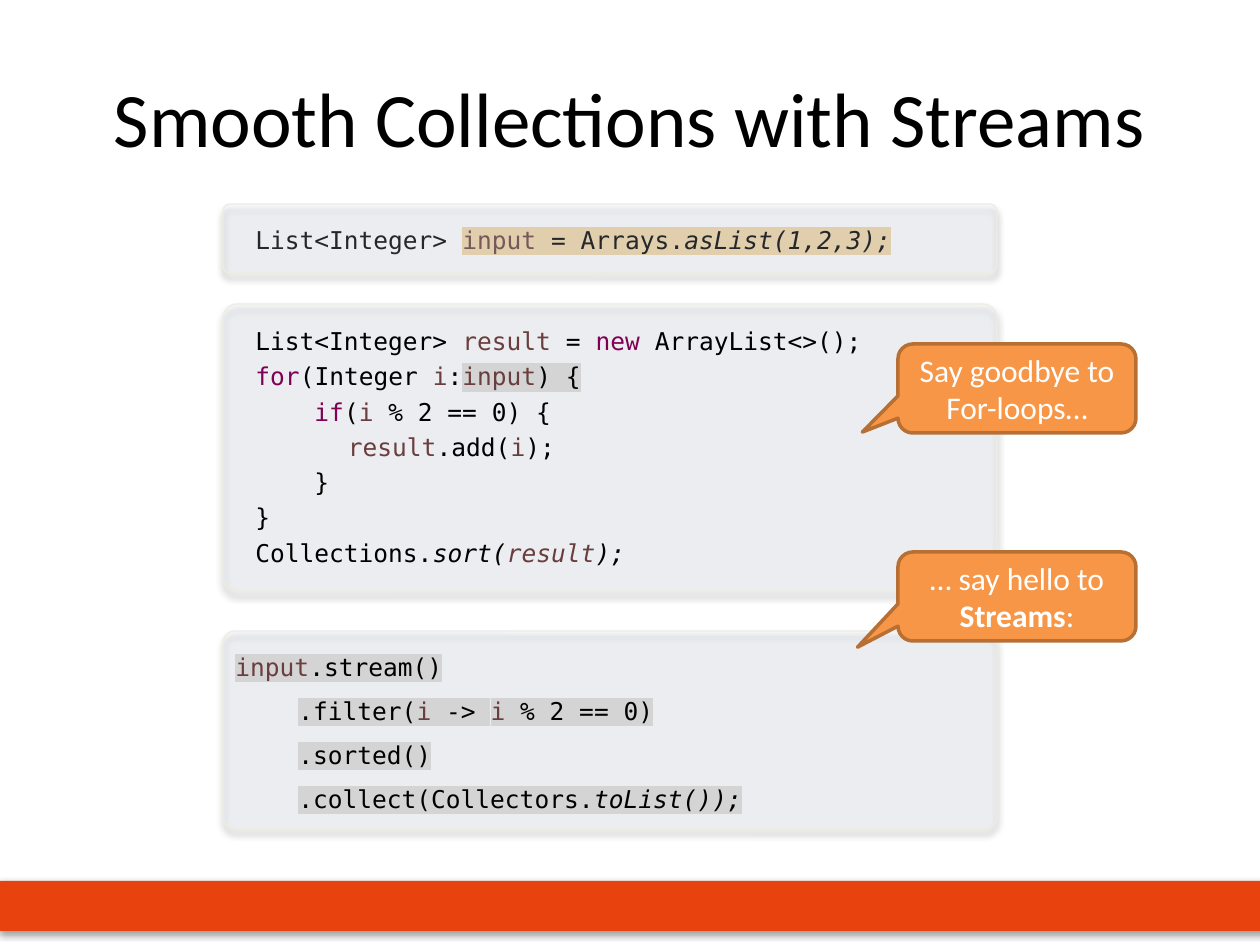
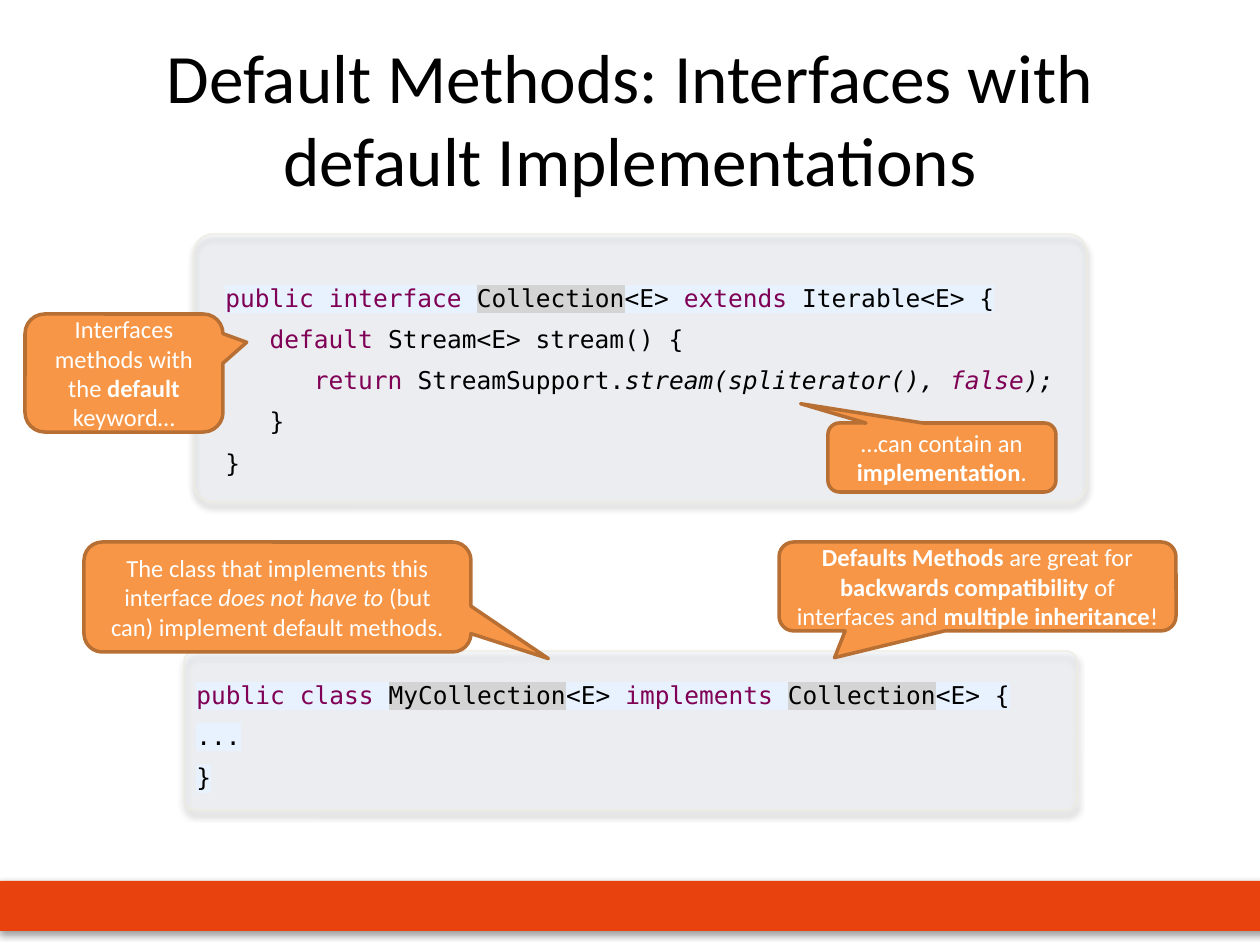
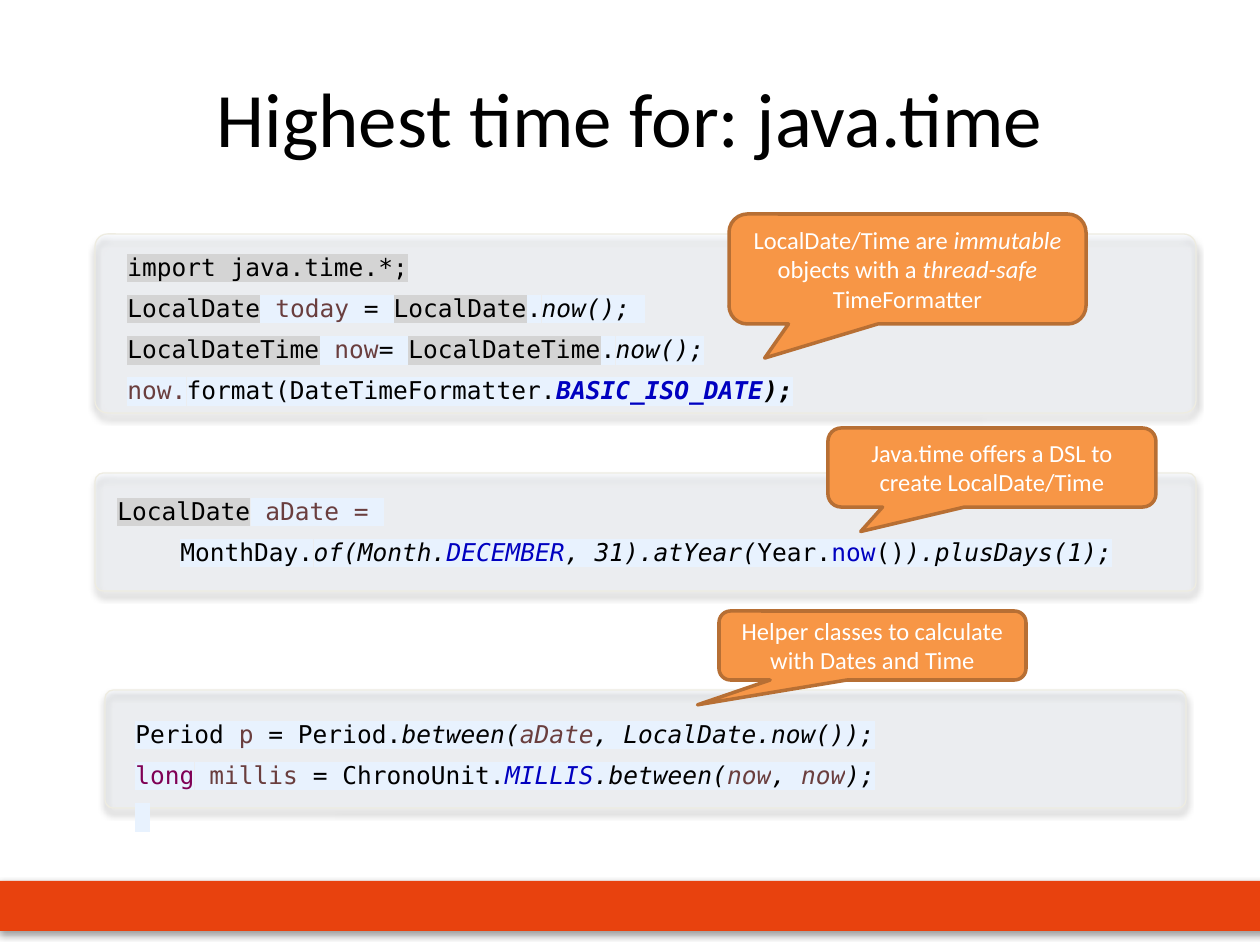
from lxml import etree
from pptx import Presentation
from pptx.dml.color import RGBColor
from pptx.enum.shapes import MSO_SHAPE
from pptx.enum.text import MSO_ANCHOR, MSO_AUTO_SIZE, PP_ALIGN
from pptx.oxml.ns import qn
from pptx.util import Emu, Pt

RECT = MSO_SHAPE.RECTANGLE
ROUNDED = MSO_SHAPE.ROUNDED_RECTANGLE
CALLOUT = MSO_SHAPE.ROUNDED_RECTANGULAR_CALLOUT
LEFT, CENTER = PP_ALIGN.LEFT, PP_ALIGN.CENTER
MIDDLE = MSO_ANCHOR.MIDDLE
NO_FIT = MSO_AUTO_SIZE.NONE

PX = 914400 / 126
SANS, MONO = "Calibri", "DejaVu Sans Mono"
COLORS = {
    "band": "E8420E", "panel": "E2ECFB", "panel_line": "EEECE1",
    "callout": "F79646", "callout_line": "B76F34",
    "black": "000000", "white": "FFFFFF",
}
INKS = {"k": "7F0055", "v": "6A3E3E", "s": "0000C0"}
MARKS = {"g": "D4D4D4", "l": "E8F2FE", "t": "F0D8A8"}


def write(tf, paragraphs, font, size, color, align, spacing=1.0):
    tf.word_wrap = True
    for i, runs in enumerate(paragraphs):
        p = tf.paragraphs[0] if i == 0 else tf.add_paragraph()
        p.alignment = align
        p.line_spacing = spacing
        p.font.name = font
        p.font.size = Pt(size)
        p.font.color.rgb = RGBColor.from_string(COLORS[color])
        for style, text in runs:
            r = p.add_run()
            r.text = text
            if "b" in style:
                r.font.bold = True
            if "i" in style:
                r.font.italic = True
            for key in style:
                if key in INKS:
                    r.font.color.rgb = RGBColor.from_string(INKS[key])
            for key in style:
                if key in MARKS:
                    mark = etree.SubElement(r.font._element, qn("a:highlight"))
                    etree.SubElement(mark, qn("a:srgbClr"), val=MARKS[key])


def draw(shapes, kind, box, fill, line=None, weight=0, shadow_angle=None):
    sp = shapes.add_shape(kind, *[Emu(round(n * PX)) for n in box])
    sp.shadow.inherit = False
    sp.fill.solid()
    sp.fill.fore_color.rgb = RGBColor.from_string(COLORS[fill])
    if line:
        sp.line.color.rgb = RGBColor.from_string(COLORS[line])
        sp.line.width = Pt(weight)
    else:
        sp.line.fill.background()
    if shadow_angle is not None:
        effects = sp._element.spPr.find(qn("a:effectLst"))
        shadow = etree.SubElement(
            effects, qn("a:outerShdw"), blurRad=str(Pt(4)), dist=str(Pt(3)),
            dir=str(shadow_angle * 60000), algn="tl", rotWithShape="0")
        shade = etree.SubElement(shadow, qn("a:srgbClr"), val=COLORS["black"])
        etree.SubElement(shade, qn("a:alpha"), val="40000")
    return sp


SLIDES = [
    ("Smooth Collections with Streams", 44, [
        ("panel", (223, 304, 774, 287), 0.05),
        ("code", (243, 204, 694, 100), 1.5, [
            [("", "List<Integer> "), ("vt", "input"), ("t", " = Arrays."),
             ("it", "asList(1,2,3);")],
        ]),
        ("code", (243, 314, 704, 261), 1.2, [
            [("", "List<Integer> "), ("v", "result"), ("", " = "),
             ("k", "new "), ("", "ArrayList<>();")],
            [("k", "for"), ("", "(Integer "), ("v", "i"), ("", ":"),
             ("vg", "input"), ("g", ") {")],
            [("k", "    if"), ("", "("), ("v", "i"), ("", " % 2 == 0) {")],
            [("v", "\t  result"), ("", ".add("), ("v", "i"), ("", ");")],
            [("", "    }")],
            [("", "}")],
            [("", "Collections."), ("i", "sort("), ("vi", "result"), ("i", ");")],
        ]),
        ("panel", (223, 631, 774, 198), 0.06),
        ("code", (223, 631, 745, 189), 1.5, [
            [("vg", "input"), ("g", ".stream()")],
            [("g", "\t.filter("), ("vg", "i"), ("g", " -> "), ("vg", "i"),
             ("g", " % 2 == 0)")],
            [("g", "\t.sorted()")],
            [("g", "\t.collect(Collectors."), ("ig", "toList());")],
        ]),
        ("panel", (223, 204, 774, 69), 0.1),
        ("callout", (898, 344, 238, 89), (-0.65, 0.49), 18, [
            [("", "Say goodbye to")],
            [("", "For-loops…")],
        ]),
        ("callout", (898, 552, 238, 89), (-0.67, 0.57), 18, [
            [("", "… say hello to "), ("b", "Streams"), ("", ":")],
        ]),
    ]),
    ("Default Methods: Interfaces with default Implementations", 39.6, [
        ("panel", (184, 651, 893, 159), 0.07),
        ("panel", (194, 234, 893, 268), 0.07),
        ("code", (213, 265, 942, 218), 1.4, [
            [("kl", "public"), ("l", " "), ("kl", "interface"), ("l", " "),
             ("g", "Collection"), ("l", "<E> "), ("kl", "extends"),
             ("l", " Iterable<E> {")],
            [("k", "   default "), ("", "Stream<E> stream() {")],
            [("k", "      return "), ("", "StreamSupport."),
             ("i", "stream(spliterator(), "), ("ki", "false"), ("i", ");")],
            [("", "   }")],
            [("", "}")],
        ]),
        ("callout", (25, 314, 198, 118), (0.62, -0.26), 14, [
            [("", "Interfaces methods with the "), ("b", "default"),
             ("", " keyword…")],
        ]),
        ("callout", (828, 423, 228, 69), (-0.62, -0.78), 14, [
            [("", "…can contain an "), ("b", "implementation"), ("", ".")],
        ]),
        ("code", (184, 662, 893, 135), 1.4, [
            [("kl", "public"), ("l", " "), ("kl", "class "),
             ("g", "MyCollection"), ("l", "<E> "), ("kl", "implements"),
             ("l", " "), ("g", "Collection"), ("l", "<E> {")],
            [("l", "...")],
            [("l", "}")],
        ]),
        ("callout", (84, 542, 387, 110), (0.7, 0.56), 14, [
            [("", "The class that implements this interface "),
             ("i", "does not have to "), ("", "(but can) implement default methods.")],
        ]),
        ("callout", (779, 542, 397, 89), (-0.36, 0.8), 14, [
            [("b", "Defaults Methods "), ("", "are great for "),
             ("b", "backwards compatibility "), ("", "of interfaces and "),
             ("b", "multiple inheritance"), ("", "!")],
        ]),
    ]),
    ("Highest time for: java.time", 44, [
        ("panel", (95, 473, 1101, 118), 0.07),
        ("panel", (105, 690, 1081, 118), 0.07),
        ("panel", (95, 234, 1101, 179), 0.07),
        ("code", (115, 234, 1081, 176), 1.4, [
            [("g", "import java.time.*;")],
            [("g", "LocalDate"), ("l", " "), ("vl", "today"), ("l", " = "),
             ("g", "LocalDate"), ("l", "."), ("il", "now();"), ("l", " ")],
            [("g", "LocalDateTime"), ("l", " "), ("vl", "now"), ("l", "= "),
             ("g", "LocalDateTime"), ("l", "."), ("il", "now();")],
            [("vl", "now."), ("l", "format(DateTimeFormatter."),
             ("sbil", "BASIC_ISO_DATE"), ("bil", ");")],
        ]),
        ("callout", (719, 611, 307, 69), (-0.57, 0.86), 14, [
            [("", "Helper classes to calculate with Dates and Time")],
        ]),
        ("code", (123, 701, 893, 135), 1.4, [
            [("l", "Period "), ("vl", "p"), ("l", " = Period."),
             ("il", "between("), ("vil", "aDate"), ("il", ", LocalDate.now());")],
            [("kl", "long"), ("l", " "), ("vl", "millis"), ("l", " = ChronoUnit."),
             ("sil", "MILLIS"), ("il", ".between("), ("vil", "now"), ("il", ", "),
             ("vil", "now"), ("il", ");")],
            [("l", " ")],
        ]),
        ("callout", (828, 428, 328, 79), (-0.4, 0.81), 14, [
            [("", "Java.time offers a DSL to create LocalDate/Time")],
        ]),
        ("code", (105, 478, 1160, 93), 1.4, [
            [("g", "LocalDate"), ("l", " "), ("vl", "aDate = ")],
            [("l", "\tMonthDay."), ("il", "of(Month."), ("sil", "DECEMBER"),
             ("il", ", 31).atYear("), ("l", "Year."), ("sl", "now"), ("l", "()"),
             ("il", ").plusDays(1);")],
        ]),
        ("callout", (729, 214, 357, 110), (-0.4, 0.81), 14, [
            [("", "LocalDate/Time are "), ("i", "immutable"),
             ("", " objects with a "), ("i", "thread-safe "), ("", "TimeFormatter")],
        ]),
    ]),
]

prs = Presentation()
prs.slide_width = Emu(round(1260 * PX))
prs.slide_height = Emu(round(945 * PX))
title_only = prs.slide_layouts[5]

for number, (title, title_size, items) in enumerate(SLIDES):
    s = prs.slides.add_slide(title_only)
    if number == 0:
        band = draw(s.shapes, RECT, (-5, 881, 1269, 50), "band", shadow_angle=45)
        prs.slide_master.shapes.element.append(band._element)

    heading = s.shapes.title
    heading.left, heading.top, heading.width, heading.height = [
        Emu(round(n * PX)) for n in (63, 38, 1134, 158)]
    heading.text_frame.auto_size = NO_FIT
    heading.text_frame.vertical_anchor = MIDDLE
    write(heading.text_frame, [[("", title)]], SANS, title_size, "black", CENTER)

    for kind, box, *details in items:
        if kind == "panel":
            sp = draw(s.shapes, ROUNDED, box, "panel", "panel_line", 0.75, 90)
            sp.adjustments[0] = details[0]
            tint = sp._element.spPr.find(qn("a:solidFill"))[0]
            etree.SubElement(tint, qn("a:alpha"), val="17000")
        elif kind == "code":
            spacing, lines = details
            tb = s.shapes.add_textbox(*[Emu(round(n * PX)) for n in box])
            write(tb.text_frame, lines, MONO, 14, "black", LEFT, spacing)
        else:
            tip, size, lines = details
            sp = draw(s.shapes, CALLOUT, box, "callout", "callout_line", 2)
            sp.adjustments[0], sp.adjustments[1] = tip
            sp.text_frame.vertical_anchor = MIDDLE
            write(sp.text_frame, lines, SANS, size, "white", CENTER)

prs.save("out.pptx")
